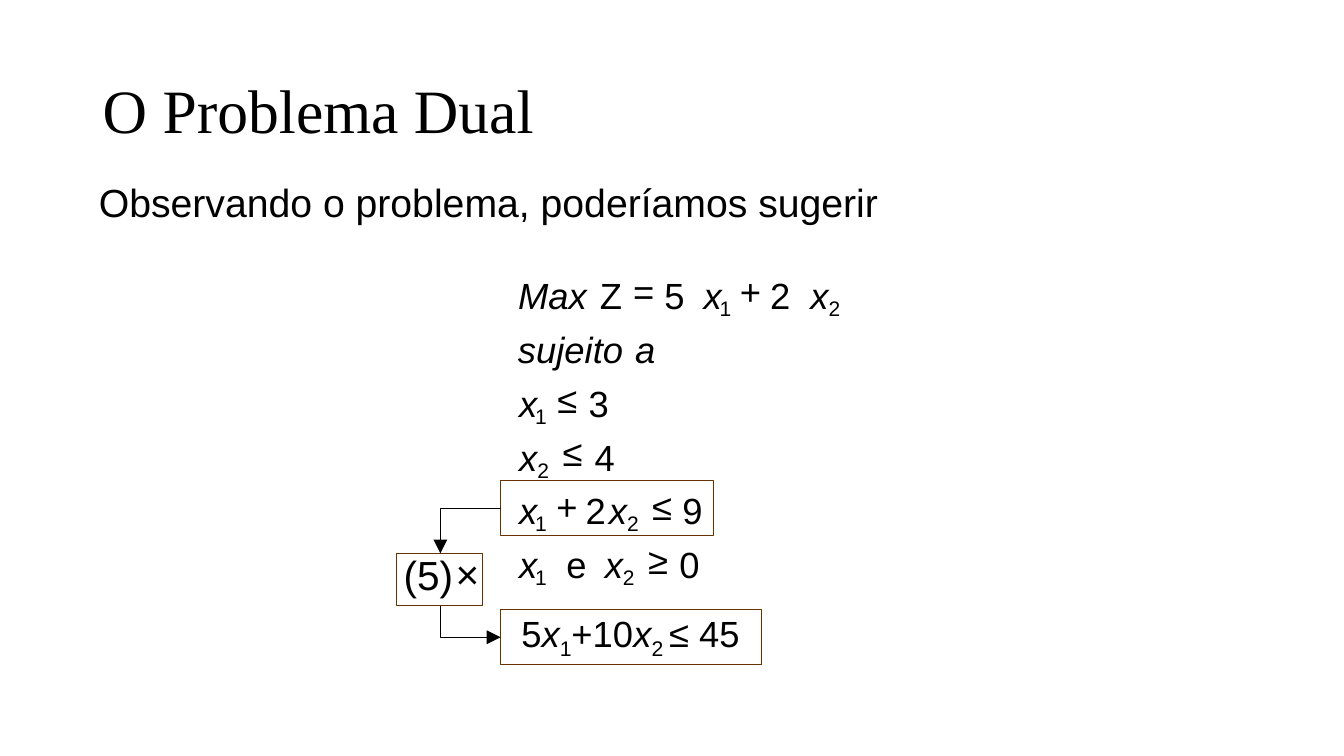
from typing import NamedTuple

from lxml.etree import SubElement
from pptx import Presentation
from pptx.dml.color import RGBColor
from pptx.enum.shapes import MSO_CONNECTOR as Link, MSO_SHAPE as Preset
from pptx.enum.text import MSO_ANCHOR as Anchor
from pptx.oxml.ns import qn
from pptx.util import Pt

BLACK, BROWN = "000000", "663300"
ROW_TOP, ROW_STEP = 195, 38.5
SIGN_RISE, INDEX_DROP = 3, 16
INDEX_SHIFT = {"1": 11.5, "2": 13}
MATH_SIZE, INDEX_SIZE, FACTOR_SIZE = 26, 15, 29


class Span(NamedTuple):
    text: str
    italic: bool = False
    baseline: int = 0


class Token(NamedTuple):
    left: float
    text: str
    kind: str = "plain"  # plain, italic, sign or variable
    width: float = 18


class Frame(NamedTuple):
    left: float
    top: float
    width: float
    height: float


class Arrow(NamedTuple):
    begin: tuple[float, float]
    end: tuple[float, float]
    rotation: int = 0


def color(value: str) -> RGBColor:
    return RGBColor.from_string(value)


def add_text(text: str | list[Span], left: float, top: float, width: float, height: float, *,
             size: float = MATH_SIZE, font: str = "Arial", italic: bool = False,
             wrap: bool = False, anchor: Anchor = Anchor.TOP, spacing: float = 1.0) -> None:
    box = page.shapes.add_textbox(Pt(left), Pt(top), Pt(width), Pt(height))
    frame = box.text_frame
    frame.word_wrap, frame.vertical_anchor = wrap, anchor
    frame.margin_left = frame.margin_right = frame.margin_top = frame.margin_bottom = 0
    para = frame.paragraphs[0]
    para.line_spacing = spacing
    for span in [Span(text, italic)] if isinstance(text, str) else text:
        run = para.add_run()
        run.text = span.text
        run.font.size, run.font.name, run.font.italic = Pt(size), font, span.italic
        run.font.color.rgb = color(BLACK)
        if span.baseline:
            run.font._element.set("baseline", str(span.baseline * 1000))


def add_token(token: Token, top: float) -> None:
    if token.kind == "variable":
        name, index = token.text
        add_text(name, token.left, top, 14, 32, italic=True)
        add_text(index, token.left + INDEX_SHIFT[index], top + INDEX_DROP, 9, 18, size=INDEX_SIZE)
        return
    rise = SIGN_RISE if token.kind == "sign" else 0
    add_text(token.text, token.left, top - rise, token.width, 32, italic=token.kind == "italic")


def add_frame(frame: Frame) -> None:
    box = page.shapes.add_shape(Preset.RECTANGLE, *map(Pt, frame))
    box.shadow.inherit = False
    box.fill.background()
    box.line.color.rgb, box.line.width = color(BROWN), Pt(0.75)


def add_arrow(arrow: Arrow) -> None:
    link = page.shapes.add_connector(Link.ELBOW, *map(Pt, arrow.begin + arrow.end))
    link.line.color.rgb, link.line.width = color(BLACK), Pt(0.5)
    properties = link._element.spPr
    properties.find(qn("a:prstGeom")).set("prst", "bentConnector2")
    properties.find(qn("a:xfrm")).set("rot", str(arrow.rotation * 60000))
    SubElement(link.line._get_or_add_ln(), qn("a:tailEnd"), type="triangle", w="lg", len="lg")
    SubElement(properties, qn("a:effectLst"))


deck = Presentation()
deck.slide_width, deck.slide_height = Pt(960), Pt(540)
page = deck.slides.add_slide(deck.slide_layouts[6])

# Title and introduction
add_text("O Problema Dual", 73.4, 32.4, 813, 97, size=44, font="Times New Roman",
         wrap=True, anchor=Anchor.MIDDLE, spacing=0.9)
add_text("Observando o problema, poderíamos sugerir", 70.6, 127.4, 713, 34, size=28, wrap=True)

# Linear programme, one list of tokens per row
ROWS = [
    [Token(370, "Max", "italic", width=54), Token(428.4, "Z"), Token(452.2, "=", "sign"),
     Token(474.5, "5"), Token(502.6, "x1", "variable"), Token(528.5, "+", "sign"),
     Token(550, "2"), Token(578.9, "x2", "variable")],
    [Token(370, "sujeito", "italic", width=80), Token(453.6, "a", "italic")],
    [Token(370.8, "x1", "variable"), Token(398.2, "≤", "sign"), Token(420.5, "3")],
    [Token(370.8, "x2", "variable"), Token(401.8, "≤", "sign"), Token(424.8, "4")],
    [Token(370.8, "x1", "variable"), Token(397.4, "+", "sign"), Token(418.3, "2"),
     Token(434.9, "x2", "variable"), Token(465.8, "≤", "sign"), Token(487.4, "9")],
    [Token(370.8, "x1", "variable"), Token(404.6, "e"), Token(432, "x2", "variable"),
     Token(463, "≥", "sign"), Token(485.3, "0")],
]
for number, row in enumerate(ROWS):
    for token in row:
        add_token(token, ROW_TOP + number * ROW_STEP)

# Frames: constraint, multiplier and result
for frame in (Frame(357.8, 343.4, 152, 38.9), Frame(283, 395.3, 62, 37.4),
              Frame(357.8, 435.6, 186, 38.9)):
    add_frame(frame)

# Multiplier and resulting constraint
add_text("(5)", 288.3, 393.1, 37, 35, size=FACTOR_SIZE)
add_text("×", 325.4, 392.4, 18, 35, size=FACTOR_SIZE)
add_text([Span("5"), Span("x", True), Span("1", baseline=-25), Span("+10"), Span("x", True),
          Span("2 ", baseline=-25), Span("≤ 45")], 372.4, 436.3, 165, 32)

# Arrows from constraint to multiplier to result
for arrow in (Arrow((357.8, 362.9), (314.6, 395.3)),
              Arrow((347.4, 422.6), (325, 465.4), rotation=270)):
    add_arrow(arrow)

deck.save("out.pptx")
